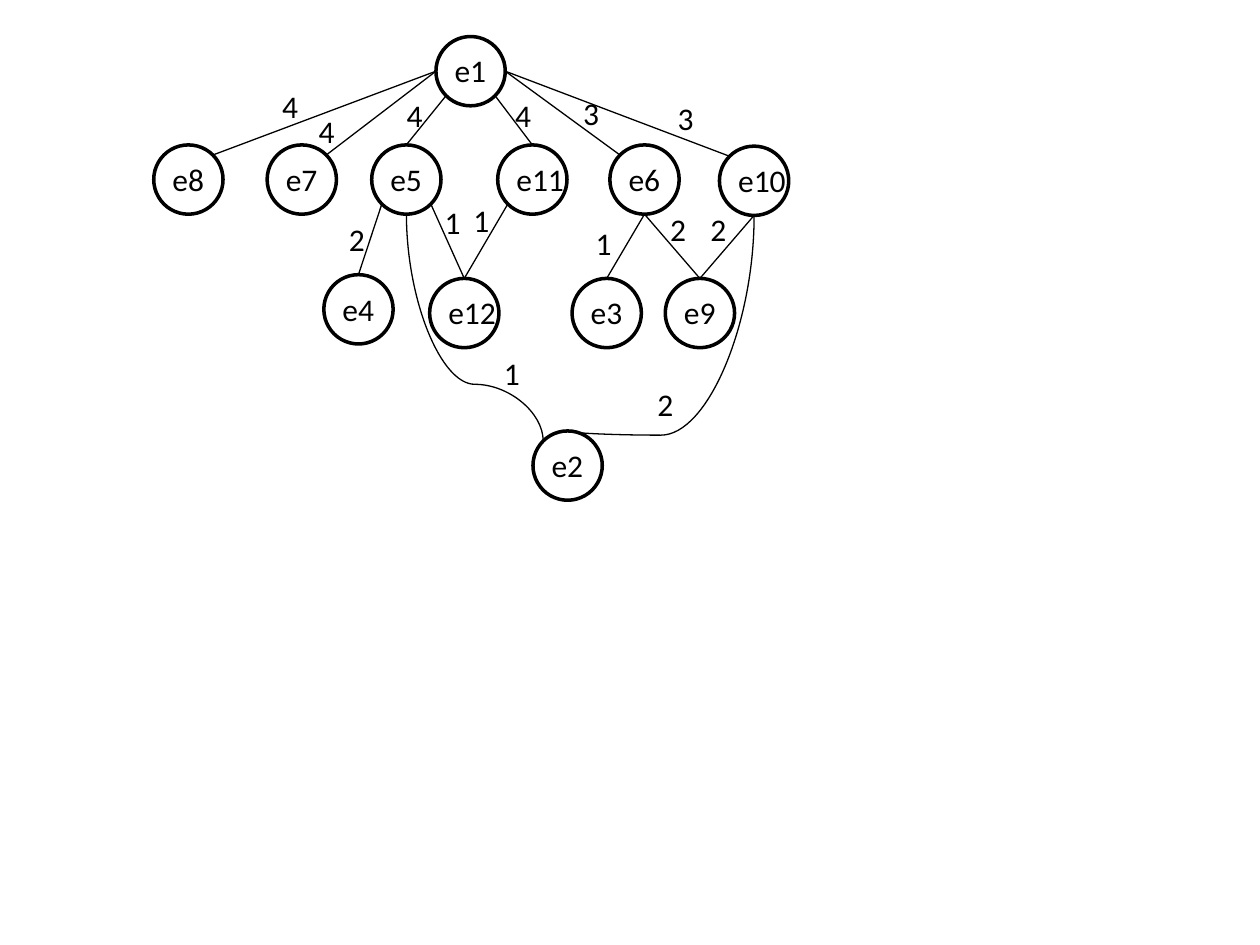
"""Draw a weighted graph of twelve numbered nodes."""
import math
import pptx
import pptx.chart.data
import pptx.dml.color
import pptx.enum.shapes
import pptx.enum.text
import pptx.oxml
import pptx.oxml.ns
import pptx.util
from pptx.util import Inches, Pt

THEME = {"ink": pptx.dml.color.RGBColor(0, 0, 0), "font": "Calibri", "size": 18, "ring": 2, "edge": 0.75}
DIAMETER, TEXT_HEIGHT = 0.55, 0.4
INSET_X, INSET_Y = 0.05, 0.07

NODES = {
    "e1": (3.46, 0.29),
    "e8": (1.22, 1.15), "e7": (2.12, 1.15), "e5": (2.95, 1.15),
    "e11": (3.95, 1.15), "e6": (4.84, 1.15), "e10": (5.71, 1.16),
    "e4": (2.57, 2.18), "e12": (3.41, 2.21), "e3": (4.54, 2.21), "e9": (5.28, 2.21),
    "e2": (4.23, 3.42),
}
SITES = {"N": -90, "NE": -45, "E": 0, "SE": 45, "S": 90, "SW": 135, "W": 180, "NW": -135}

# from, site, to, site, weight, label position, bend
EDGES = [
    ("e1", "W", "e8", "NE", "4", (2.14, 0.64), None),
    ("e1", "W", "e7", "NE", "4", (2.43, 0.84), None),
    ("e1", "SW", "e5", "N", "4", (3.13, 0.71), None),
    ("e1", "SE", "e11", "N", "4", (3.99, 0.71), None),
    ("e1", "E", "e6", "NW", "3", (4.53, 0.7), None),
    ("e1", "E", "e10", "NW", "3", (5.28, 0.74), None),
    ("e5", "SW", "e4", "N", "2", (2.67, 1.7), None),
    ("e5", "SE", "e12", "N", "1", (3.43, 1.56), None),
    ("e11", "SW", "e12", "N", "1", (3.66, 1.55), None),
    ("e6", "S", "e3", "N", "1", (4.63, 1.73), None),
    ("e6", "S", "e9", "N", "2", (5.22, 1.62), None),
    ("e10", "S", "e9", "N", "2", (5.54, 1.62), None),
    ("e5", "S", "e2", "NW", "1", (3.9, 2.76), 0.75),
    ("e10", "S", "e2", "N", "2", (5.12, 3.01), 1.02),
]


def add_label(shapes, text, x, y, width):
    tb = shapes.add_textbox(Inches(x), Inches(y), Inches(width), Inches(TEXT_HEIGHT))
    tf = tb.text_frame
    tf.word_wrap = False
    tf.auto_size = pptx.enum.text.MSO_AUTO_SIZE.SHAPE_TO_FIT_TEXT
    r = tf.paragraphs[0].add_run()
    r.text = text
    r.font.name, r.font.size = THEME["font"], Pt(THEME["size"])
    r.font.color.rgb = THEME["ink"]


def add_node(shapes, name, x, y):
    group = shapes.add_group_shape()
    sp = group.shapes.add_shape(pptx.enum.shapes.MSO_SHAPE.OVAL, Inches(x), Inches(y),
                                Inches(DIAMETER), Inches(DIAMETER))
    sp.shadow.inherit = False
    sp.fill.background()
    sp.line.color.rgb, sp.line.width = THEME["ink"], Pt(THEME["ring"])
    add_label(group.shapes, name, x + INSET_X, y + INSET_Y, 0.46 if len(name) == 2 else 0.58)


def site_point(name, site):
    angle, radius = math.radians(SITES[site]), DIAMETER / 2
    x, y = NODES[name]
    return x + radius * (1 + math.cos(angle)), y + radius * (1 + math.sin(angle))


def add_edge(shapes, start, end, bend):
    kinds = pptx.enum.shapes.MSO_CONNECTOR
    (x1, y1), (x2, y2) = start, end
    if bend:
        cx, cy, w, h = (x1 + x2) / 2, (y1 + y2) / 2, abs(y2 - y1), abs(x2 - x1)
        x1, y1, x2, y2 = cx - w / 2, cy - h / 2, cx + w / 2, cy + h / 2
    line = shapes.add_connector(kinds.CURVE if bend else kinds.STRAIGHT,
                                Inches(x1), Inches(y1), Inches(x2), Inches(y2))
    line.line.color.rgb, line.line.width = THEME["ink"], Pt(THEME["edge"])
    props = line._element.spPr
    qn = pptx.oxml.ns.qn
    if bend:
        rightward = end[0] > start[0]
        xfrm = props.find(qn("a:xfrm"))
        xfrm.set("rot", str((270 if rightward else 90) * 60000))
        if rightward:
            xfrm.set("flipH", "1")
        geometry = props.find(qn("a:prstGeom"))
        guides = geometry.find(qn("a:avLst"))
        if guides is None:
            guides = geometry.makeelement(qn("a:avLst"), {})
            geometry.append(guides)
        guides.append(guides.makeelement(
            qn("a:gd"), {"name": "adj1", "fmla": f"val {round(bend * 100000)}"}))
    props.append(props.makeelement(qn("a:effectLst"), {}))


prs = pptx.Presentation()
prs.slide_width, prs.slide_height = Inches(10), Inches(7.5)
s = prs.slides.add_slide(prs.slide_layouts[6])
for name, (x, y) in NODES.items():
    add_node(s.shapes, name, x, y)
for source, leave, target, arrive, weight, (x, y), bend in EDGES:
    add_edge(s.shapes, site_point(source, leave), site_point(target, arrive), bend)
    add_label(s.shapes, weight, x, y, 0.33)
prs.save("out.pptx")
